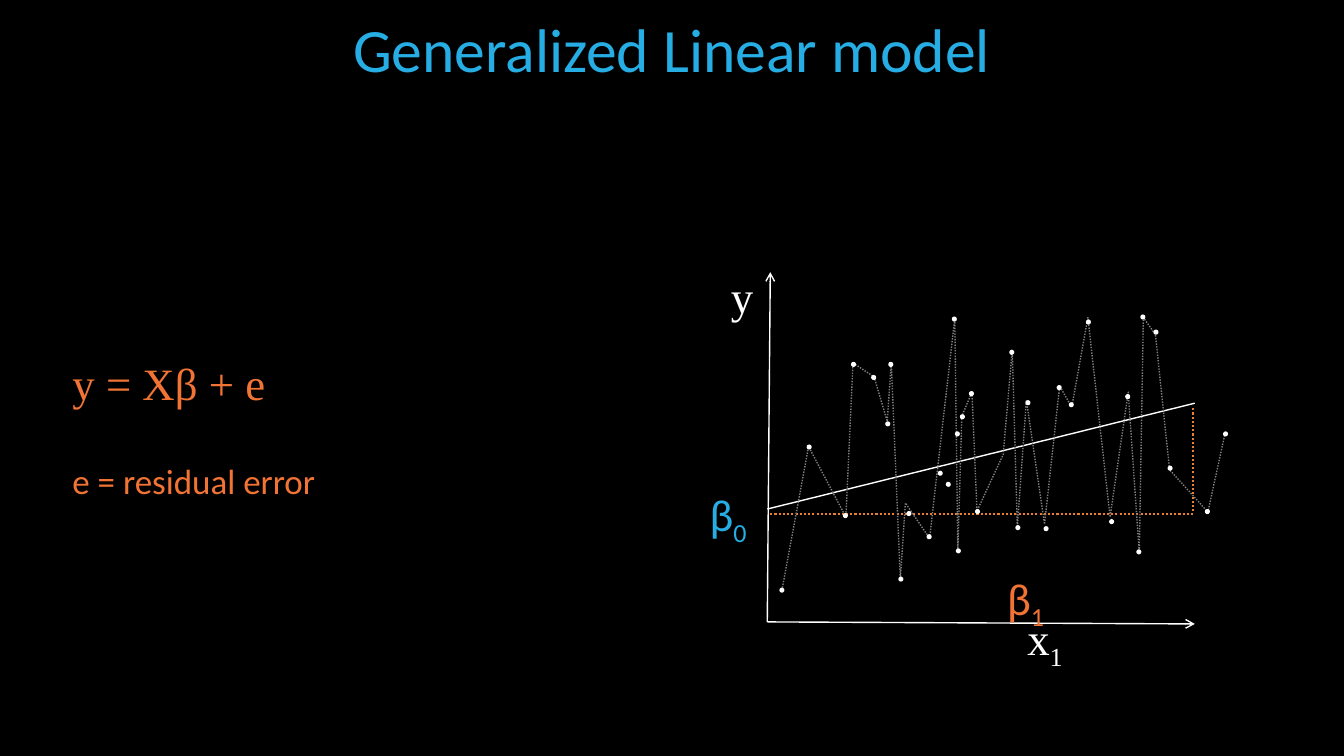
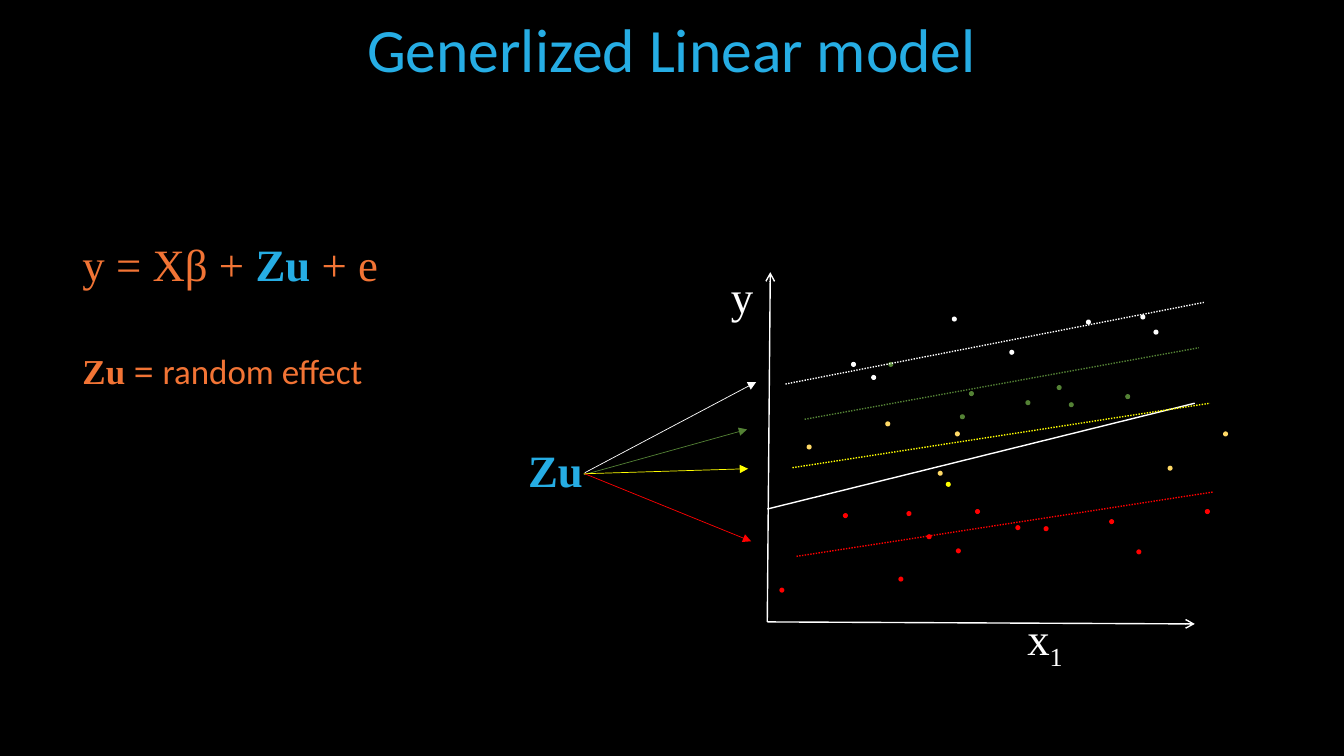
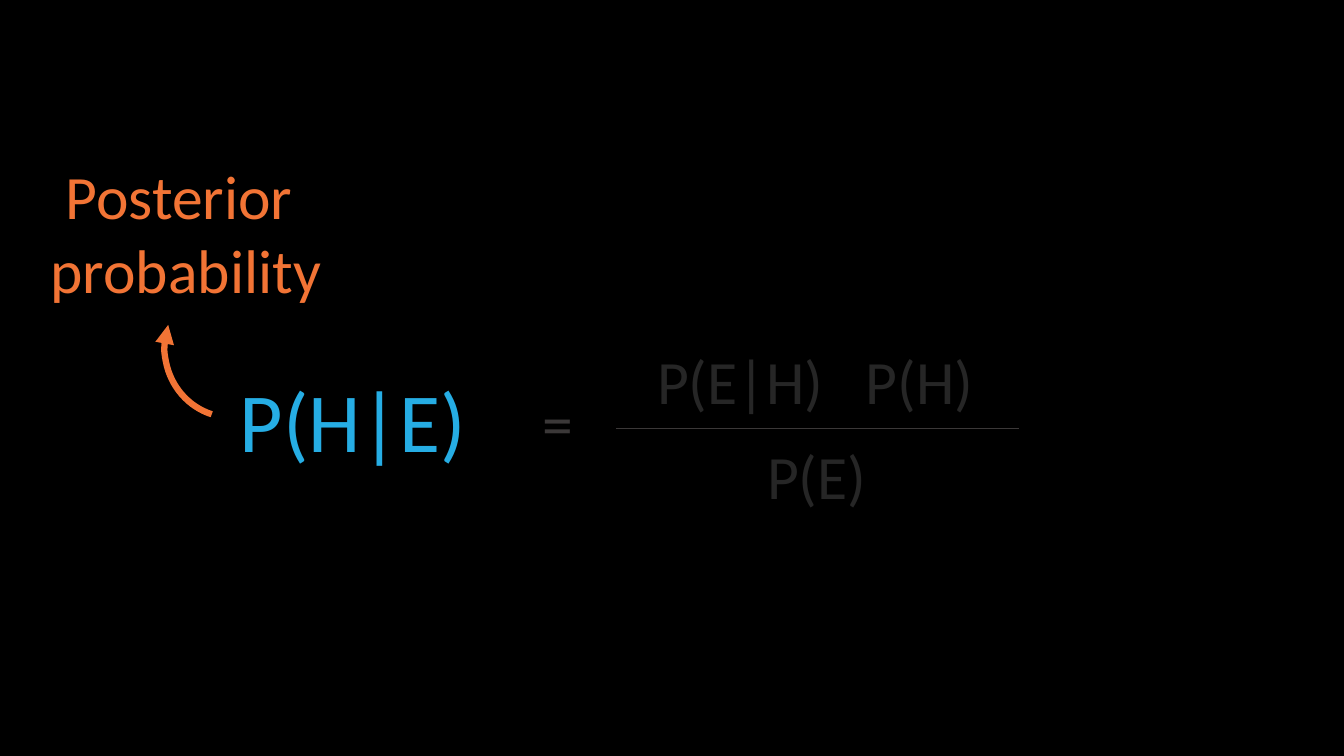
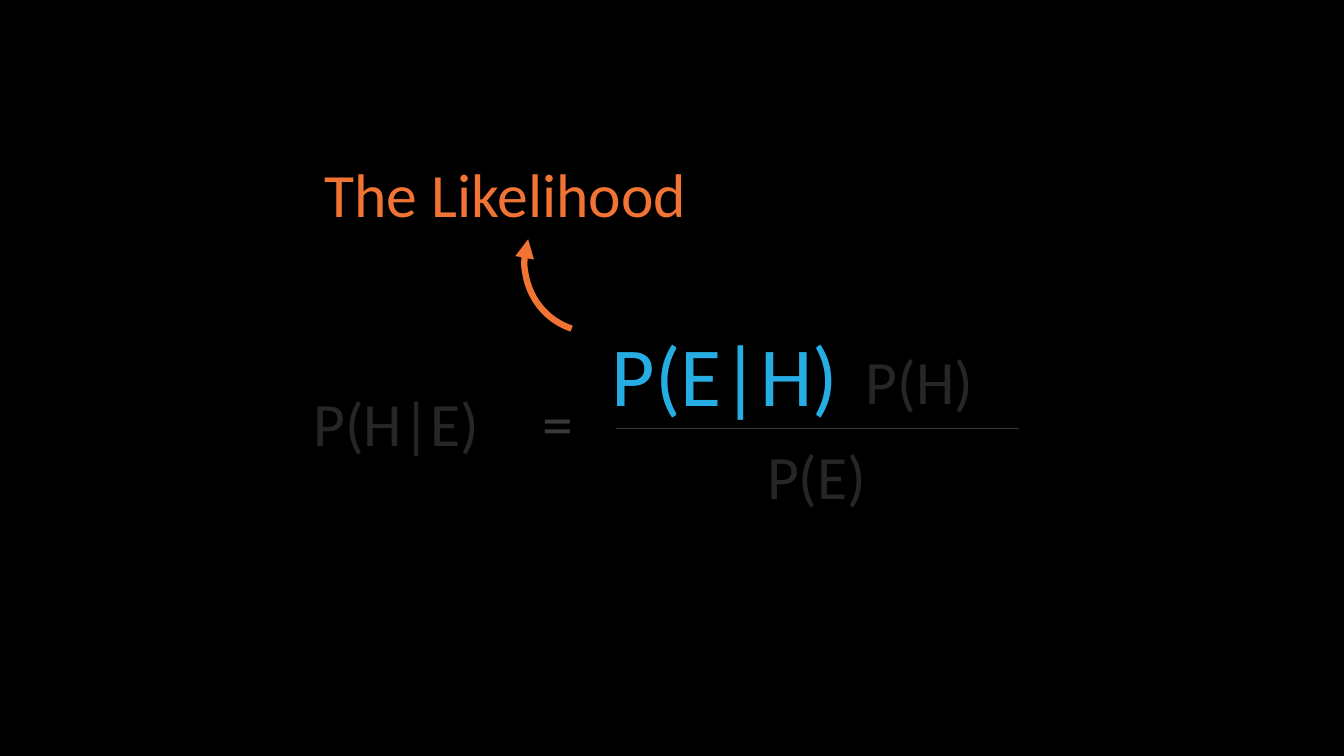
from lxml.etree import SubElement
from pptx import Presentation
from pptx.dml.color import RGBColor
from pptx.enum.dml import MSO_LINE
from pptx.enum.shapes import MSO_CONNECTOR, MSO_SHAPE
from pptx.enum.text import MSO_ANCHOR, MSO_AUTO_SIZE, PP_ALIGN
from pptx.oxml.ns import qn
from pptx.util import Pt

PX = 9144  # EMU in one px, 100 px to the inch
BLUE, ORANGE, RUST = "26ADE4", "F27435", "ED7D31"
WHITE, GREEN, YELLOW, GOLD, RED = "FFFFFF", "548235", "FFFF00", "FFD966", "FF0000"
GREY, DIM, RULE = "808080", "262626", "3B3838"
SANS, SERIF = "Calibri", "Times New Roman"
hue = RGBColor.from_string


def text(slide, box, *paras, shape=None, wrap=False, align=PP_ALIGN.LEFT, gap=0, **look):
    """Each paragraph is a string or a list of (string, changes to look);
    gap is the space before every paragraph but the first."""
    box = [n * PX for n in box]
    if shape is None:
        shape = slide.shapes.add_textbox(*box)
    shape.left, shape.top, shape.width, shape.height = box
    frame = shape.text_frame
    frame.word_wrap = wrap
    frame.auto_size = MSO_AUTO_SIZE.NONE if wrap else MSO_AUTO_SIZE.SHAPE_TO_FIT_TEXT
    frame.vertical_anchor = MSO_ANCHOR.TOP
    for i, runs in enumerate(paras):
        para = frame.add_paragraph() if i else frame.paragraphs[0]
        para.alignment = align
        para.space_before = Pt(gap if i else 0)
        for words, change in [(runs, {})] if isinstance(runs, str) else runs:
            style = {"size": 32, "face": SANS, "tint": ORANGE, "bold": False} | look | change
            run = para.add_run()
            run.text = words
            run.font.size = Pt(style["size"])
            run.font.name = style["face"]
            run.font.bold = style["bold"]
            run.font.color.rgb = hue(style["tint"])
            if style.get("sub"):
                run._r.get_or_add_rPr().set("baseline", "-25000")


def line(slide, ends, tint=WHITE, width=1, dots=False, tip=None):
    link = slide.shapes.add_connector(MSO_CONNECTOR.STRAIGHT, *[n * PX for n in ends])
    link.line.color.rgb = hue(tint)
    link.line.width = Pt(width)
    if dots:
        link.line.dash_style = MSO_LINE.ROUND_DOT
    if tip:
        SubElement(link.line._get_or_add_ln(), qn("a:tailEnd"), type=tip)
    SubElement(link._element.spPr, qn("a:effectLst"))


deck = Presentation()
deck.slide_width, deck.slide_height = 1333 * PX, 750 * PX
ground = deck.slide_master.background.fill
ground.solid()
ground.fore_color.rgb = hue("000000")
titled, blank = deck.slide_layouts[5], deck.slide_layouts[6]

# Two scatter slides
DOT = 5
dots = {
    WHITE: [(844, 359), (1001, 347), (864, 372), (944, 314), (1077, 317),
            (1131, 312), (1144, 327)],
    GREEN: [(1048, 382), (1060, 399), (952, 411), (881, 359), (1017, 397),
            (961, 388), (1116, 391)],
    YELLOW: [(938, 478)],
    GOLD: [(800, 441), (930, 467), (947, 428), (878, 418), (1158, 462), (1213, 428)],
    RED: [(919, 530), (1007, 521), (836, 509), (773, 583), (891, 572), (1035, 522),
          (899, 507), (967, 505), (948, 544), (1100, 515), (1127, 545), (1195, 505)],
}
trace = [
    (776, 583), (802, 443), (839, 513), (846, 360), (867, 374), (880, 418), (884, 360),
    (893, 575), (898, 499), (922, 534), (947, 316), (950, 546), (954, 413), (964, 389),
    (969, 507), (995, 451), (1004, 347), (1009, 523), (1018, 397), (1036, 520),
    (1051, 383), (1063, 404), (1079, 315), (1101, 513), (1119, 389), (1130, 549),
    (1134, 315), (1146, 332), (1160, 466), (1198, 508), (1215, 430),
]
sub = {"sub": True}

for title, mixed in [("Generalized Linear model", False), ("Generlized Linear model", True)]:
    slide = deck.slides.add_slide(titled)
    text(slide, (0, 6, 1333, 84), title, shape=slide.shapes.title, wrap=True,
         align=PP_ALIGN.CENTER, size=44, tint=BLUE)
    text(slide, (715, 262, 43, 64), "y", face=SERIF, tint=WHITE)
    text(slide, (1009, 601, 59, 64), [("x", {}), ("1", sub)], face=SERIF, tint=WHITE)
    line(slide, (761, 617, 764, 270), tip="arrow")
    line(slide, (761, 617, 1185, 619), tip="arrow")
    line(slide, (761, 505, 1185, 400))

    if not mixed:
        text(slide, (694, 478, 59, 64), [("β", {}), ("0", sub)], tint=BLUE)
        text(slide, (989, 561, 59, 64), [("β", {}), ("1", sub)])
        line(slide, (764, 510, 1183, 510), RUST, 1.5, dots=True)
        line(slide, (1183, 405, 1183, 509), RUST, 1.5, dots=True)
        pen = slide.shapes.build_freeform(*trace[0], scale=PX)
        pen.add_line_segments(trace[1:], close=False)
        path = pen.convert_to_shape()
        path.shadow.inherit = False
        path.fill.background()
        path.line.color.rgb = hue(GREY)
        path.line.width = Pt(1)
        path.line.dash_style = MSO_LINE.ROUND_DOT

    for tint, spots in dots.items():
        for x, y in spots:
            dot = slide.shapes.add_shape(MSO_SHAPE.OVAL, x * PX, y * PX, DOT * PX, DOT * PX)
            dot.shadow.inherit = False
            dot.fill.solid()
            dot.fill.fore_color.rgb = hue(tint if mixed else WHITE)
            dot.line.fill.background()

    if mixed:
        for tint, fit, arrow in [
            (WHITE, (779, 381, 1194, 300), (580, 469, 750, 379)),
            (GREEN, (798, 416, 1189, 345), (579, 471, 741, 426)),
            (YELLOW, (786, 464, 1200, 400), (579, 470, 742, 465)),
            (RED, (790, 552, 1204, 488), (580, 470, 745, 537)),
        ]:
            line(slide, fit, tint, dots=True)
            line(slide, arrow, tint, 0.5, tip="triangle")
        text(slide, (514, 434, 80, 64), "Zu", face=SERIF, tint=BLUE, bold=True)
        text(slide, (72, 230, 506, 148),
             [("y = Xβ + ", {}), ("Zu ", {"tint": BLUE, "bold": True}), ("+ e", {})],
             [("Zu = ", {"size": 25, "bold": True}),
              ("random effect", {"size": 25, "face": SANS})],
             wrap=True, gap=42, face=SERIF)
    else:
        text(slide, (62, 348, 506, 148), [("y = Xβ + e", {"face": SERIF})],
             [("e = residual error", {"size": 25})], wrap=True, gap=36)

# Two slides on the rule of Bayes, each with one term lit
terms = {
    "P(H|E)": (301, 377, 187, 84),
    "P(E|H)": (642, 335, 187, 84),
    "P(H)": (849, 335, 128, 84),
    "P(E)": (751, 430, 120, 84),
}
for lit, spot, note, place, bend in [
    ("P(H|E)", (228, 361, 247, 111), ["Posterior ", "probability"],
     (39, 152, 291, 158), (161, 275)),
    ("P(E|H)", (597, 315, 247, 111), ["The Likelihood"],
     (310, 150, 383, 84), (518, 190)),
]:
    slide = deck.slides.add_slide(blank)
    for term, box in terms.items():
        if term == lit:
            text(slide, spot, term, size=60, tint=BLUE)
        else:
            text(slide, box, term, size=44, tint=DIM)
    text(slide, (528, 377, 51, 84), "=", size=44, tint=RULE)
    line(slide, (611, 425, 1011, 425), RULE, 0.5)
    text(slide, place, *note, align=PP_ALIGN.CENTER, size=44)
    arc = slide.shapes.add_shape(MSO_SHAPE.ARC, *[n * PX for n in (*bend, 142, 137)])
    arc.shadow.inherit = False
    arc.rotation = 288
    arc._element.spPr.xfrm.set("flipH", "1")
    arc.fill.background()
    arc.line.color.rgb = hue(ORANGE)
    arc.line.width = Pt(4.5)
    SubElement(arc.line._get_or_add_ln(), qn("a:headEnd"), type="triangle")

deck.save("out.pptx")
